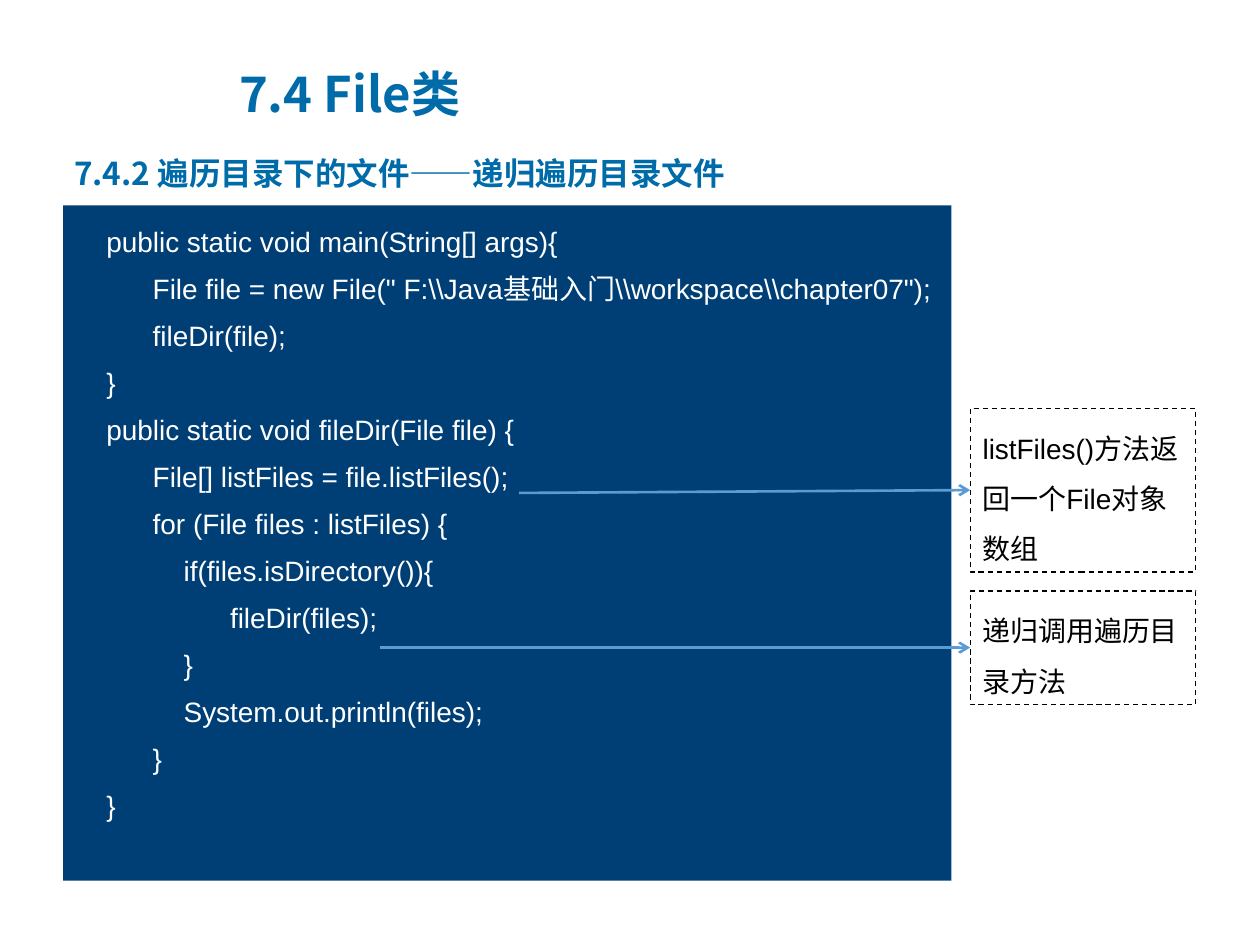
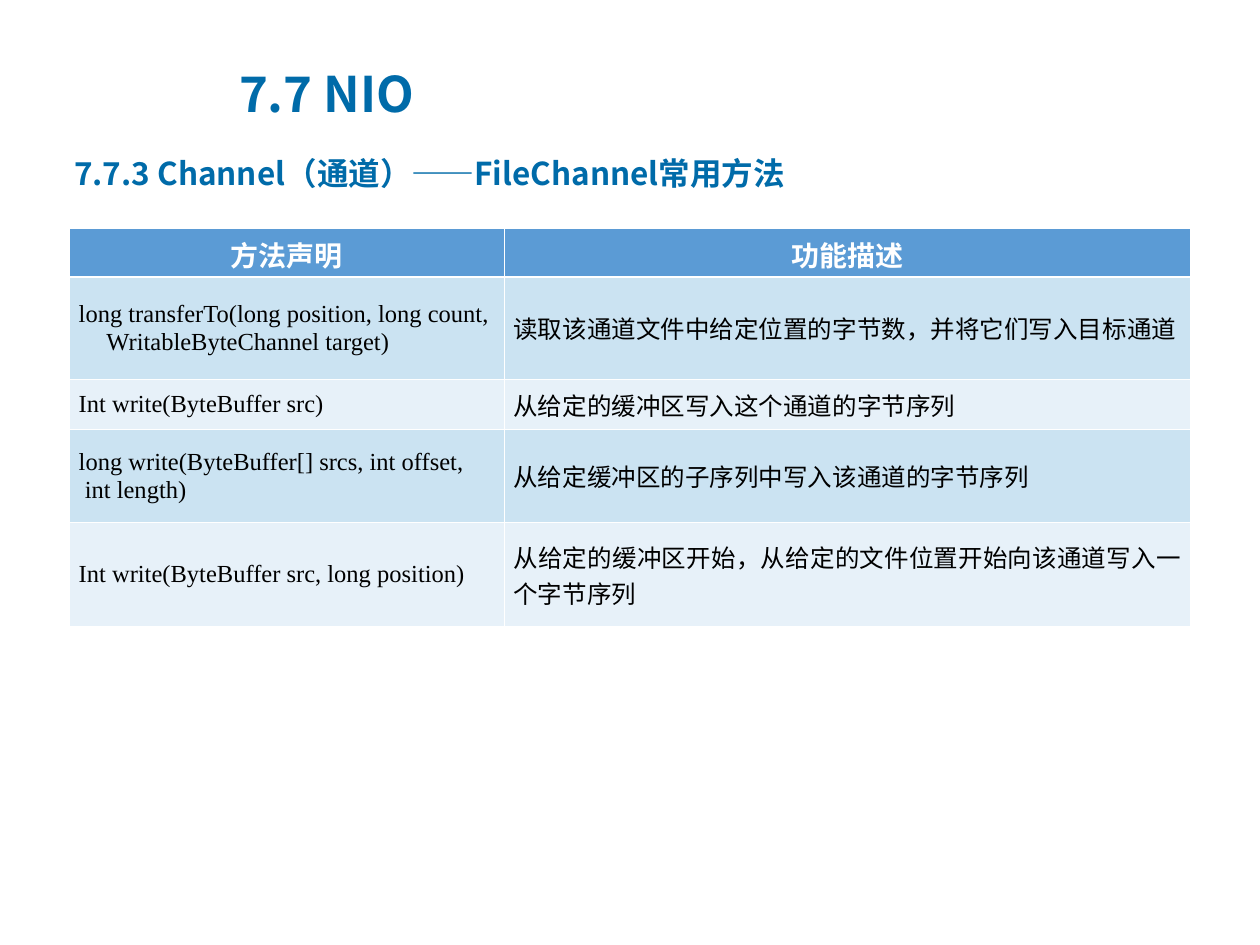
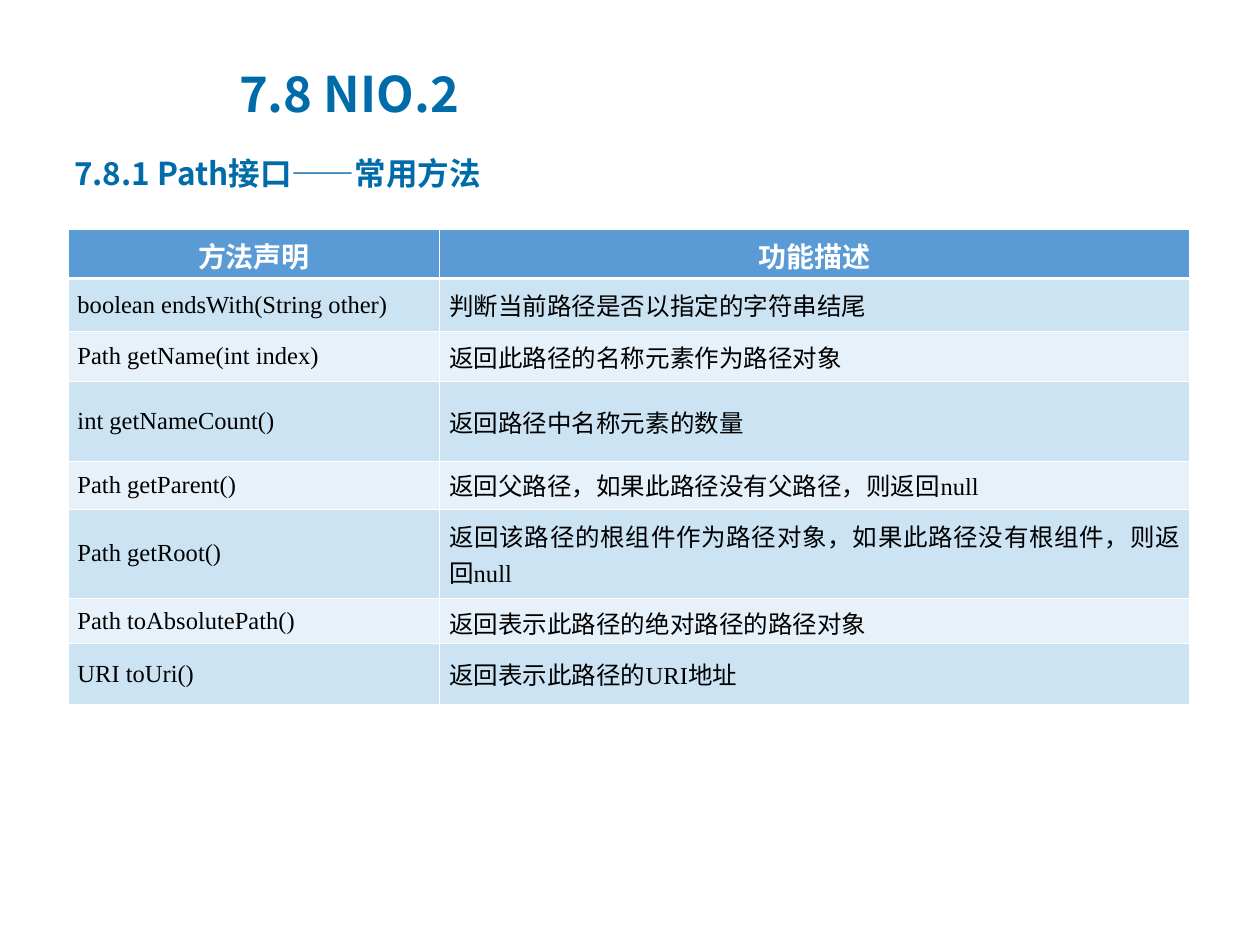
from lxml import etree
from pptx import Presentation
from pptx.dml.color import RGBColor
from pptx.enum.dml import MSO_LINE
from pptx.enum.shapes import MSO_CONNECTOR, MSO_SHAPE
from pptx.enum.text import MSO_ANCHOR, PP_ALIGN
from pptx.oxml.ns import qn
from pptx.util import Pt

MIDDLE = MSO_ANCHOR.MIDDLE
TOP = MSO_ANCHOR.TOP
LEFT = PP_ALIGN.LEFT
CENTER = PP_ALIGN.CENTER
JUSTIFY = PP_ALIGN.JUSTIFY
RECTANGLE = MSO_SHAPE.RECTANGLE
STRAIGHT = MSO_CONNECTOR.STRAIGHT
DASH = MSO_LINE.DASH

COLORS = {
    "heading": "006BA9",
    "code": "003F75",
    "accent": "5B9BD5",
    "band_dark": "CBE3F2",
    "band_light": "E7F1F9",
    "white": "FFFFFF",
    "black": "000000",
}
RGB = {name: RGBColor.from_string(value) for name, value in COLORS.items()}
CJK_FONT = "Noto Sans CJK SC"

CODE = r"""    public static void main(String[] args){
          File file = new File(" F:\\Java基础入门\\workspace\\chapter07");
          fileDir(file);
    }
    public static void fileDir(File file) {
          File[] listFiles = file.listFiles();
          for (File files : listFiles) {
              if(files.isDirectory()){
                    fileDir(files);
              }
              System.out.println(files);
          }
    }"""

HEADINGS = [
    ("7.4 File类", "7.4.2 遍历目录下的文件——递归遍历目录文件"),
    ("7.7 NIO", "7.7.3 Channel（通道）——FileChannel常用方法"),
    ("7.8 NIO.2", "7.8.1 Path接口——常用方法"),
]

NOTES = [
    ("listFiles()方法返回一个File对象数组", 233.28, 93.6, 296.64, 281.7),
    ("递归调用遍历目录方法", 337.68, 64.8, 217.44, 370.08),
]

TABLE_HEADER = ("方法声明", "功能描述")
CHANNEL_ROWS = [
    TABLE_HEADER,
    ("long transferTo(long position, long count, WritableByteChannel target)",
     "读取该通道文件中给定位置的字节数，并将它们写入目标通道"),
    ("Int write(ByteBuffer src)", "从给定的缓冲区写入这个通道的字节序列"),
    ("long write(ByteBuffer[] srcs, int offset,\n int length)",
     "从给定缓冲区的子序列中写入该通道的字节序列"),
    ("Int write(ByteBuffer src, long position)",
     "从给定的缓冲区开始，从给定的文件位置开始向该通道写入一个字节序列"),
]
PATH_ROWS = [
    TABLE_HEADER,
    ("boolean endsWith(String other)", "判断当前路径是否以指定的字符串结尾"),
    ("Path getName(int index)", "返回此路径的名称元素作为路径对象"),
    ("int getNameCount()", "返回路径中名称元素的数量"),
    ("Path getParent()", "返回父路径，如果此路径没有父路径，则返回null"),
    ("Path getRoot()", "返回该路径的根组件作为路径对象，如果此路径没有根组件，则返回null"),
    ("Path toAbsolutePath()", "返回表示此路径的绝对路径的路径对象"),
    ("URI toUri()", "返回表示此路径的URI地址"),
]
TABLES = [
    (1, 39.6, 130.3, (248.4, 392.4), (28.08, 58.32, 28.8, 53.28, 59.04), CHANNEL_ROWS),
    (2, 38.88, 131.04, (212.4, 428.4),
     (28.08, 30.24, 28.8, 45.36, 27.36, 51.12, 25.92, 34.56), PATH_ROWS),
]


def write_text(text_frame, text, font_name, size, color, bold=False,
               anchor=TOP, alignment=LEFT, spacing=None):
    text_frame.text = text
    text_frame.word_wrap = True
    text_frame.vertical_anchor = anchor
    for paragraph in text_frame.paragraphs:
        paragraph.alignment = alignment
        paragraph.line_spacing = spacing
        for run in paragraph.runs:
            run.font.name = font_name
            run.font.size = Pt(size)
            run.font.bold = bold
            run.font.color.rgb = RGB[color]
            east_asian = etree.SubElement(run.font._element, qn("a:ea"))
            east_asian.set("typeface", CJK_FONT)


def set_border(cell, side, width):
    line = etree.SubElement(cell._tc.get_or_add_tcPr(), qn(f"a:ln{side}"), w=str(Pt(width)))
    fill = etree.SubElement(line, qn("a:solidFill"))
    etree.SubElement(fill, qn("a:srgbClr"), val=COLORS["white"])


presentation = Presentation()
presentation.slide_width = Pt(720)
presentation.slide_height = Pt(540)
slides = []

for title, subtitle in HEADINGS:
    slide = presentation.slides.add_slide(presentation.slide_layouts[6])
    slides.append(slide)
    title_box = slide.shapes.add_textbox(Pt(129.6), Pt(30.96), Pt(419.76), Pt(43.92))
    write_text(title_box.text_frame, title, CJK_FONT, 28, "heading", True, MIDDLE)
    subtitle_box = slide.shapes.add_textbox(Pt(35.28), Pt(84.24), Pt(648), Pt(51.12))
    write_text(subtitle_box.text_frame, subtitle, CJK_FONT, 18, "heading", True)

shapes = slides[0].shapes
code_panel = shapes.add_shape(RECTANGLE, Pt(36), Pt(117.36), Pt(507.6), Pt(385.92))
code_panel.shadow.inherit = False
code_panel.fill.solid()
code_panel.fill.fore_color.rgb = RGB["code"]
code_panel.line.fill.background()
write_text(code_panel.text_frame, CODE, "Arial", 16, "white", spacing=1.4)

for text, top, height, start_x, start_y in NOTES:
    note = shapes.add_shape(RECTANGLE, Pt(554.4), Pt(top), Pt(128.88), Pt(height))
    note.shadow.inherit = False
    note.fill.background()
    note.line.color.rgb = RGB["black"]
    note.line.width = Pt(0.75)
    note.line.dash_style = DASH
    write_text(note.text_frame, text, "Arial", 16, "black", spacing=1.5)

    arrow = shapes.add_connector(STRAIGHT, Pt(start_x), Pt(start_y),
                                 Pt(554.4), Pt(top + height / 2))
    arrow.end_connect(note, 1)
    arrow.line.color.rgb = RGB["accent"]
    arrow.line.width = Pt(1.5)
    etree.SubElement(arrow.line._get_or_add_ln(), qn("a:tailEnd"), type="arrow")
    etree.SubElement(arrow._element.spPr, qn("a:effectLst"))

for slide_index, left, top, widths, heights, rows in TABLES:
    table = slides[slide_index].shapes.add_table(
        len(rows), len(widths), Pt(left), Pt(top), Pt(sum(widths)), Pt(sum(heights))).table
    for column, width in zip(table.columns, widths):
        column.width = Pt(width)
    for row_index, (texts, height) in enumerate(zip(rows, heights)):
        table.rows[row_index].height = Pt(height)
        for column_index, text in enumerate(texts):
            cell = table.cell(row_index, column_index)
            cell.margin_left = cell.margin_right = Pt(5.4)
            cell.vertical_anchor = MIDDLE
            set_border(cell, "L", 0.45)
            set_border(cell, "R", 0.45)
            set_border(cell, "T", 1.47 if row_index == 1 else 0.45)
            set_border(cell, "B", 1.47 if row_index == 0 else 0.45)
            cell.fill.solid()
            if row_index == 0:
                cell.fill.fore_color.rgb = RGB["accent"]
                write_text(cell.text_frame, text, "Calibri", 16, "white", True, MIDDLE, CENTER)
            else:
                cell.fill.fore_color.rgb = RGB["band_dark" if row_index % 2 else "band_light"]
                write_text(cell.text_frame, text, "Times New Roman", 14, "black", False,
                           MIDDLE, JUSTIFY if column_index else LEFT)
    first_method = table.cell(1, 0).text_frame.paragraphs[0]
    properties = first_method._p.get_or_add_pPr()
    properties.set("marL", str(Pt(15.84)))
    properties.set("indent", str(-Pt(15.84)))

presentation.save("out.pptx")
